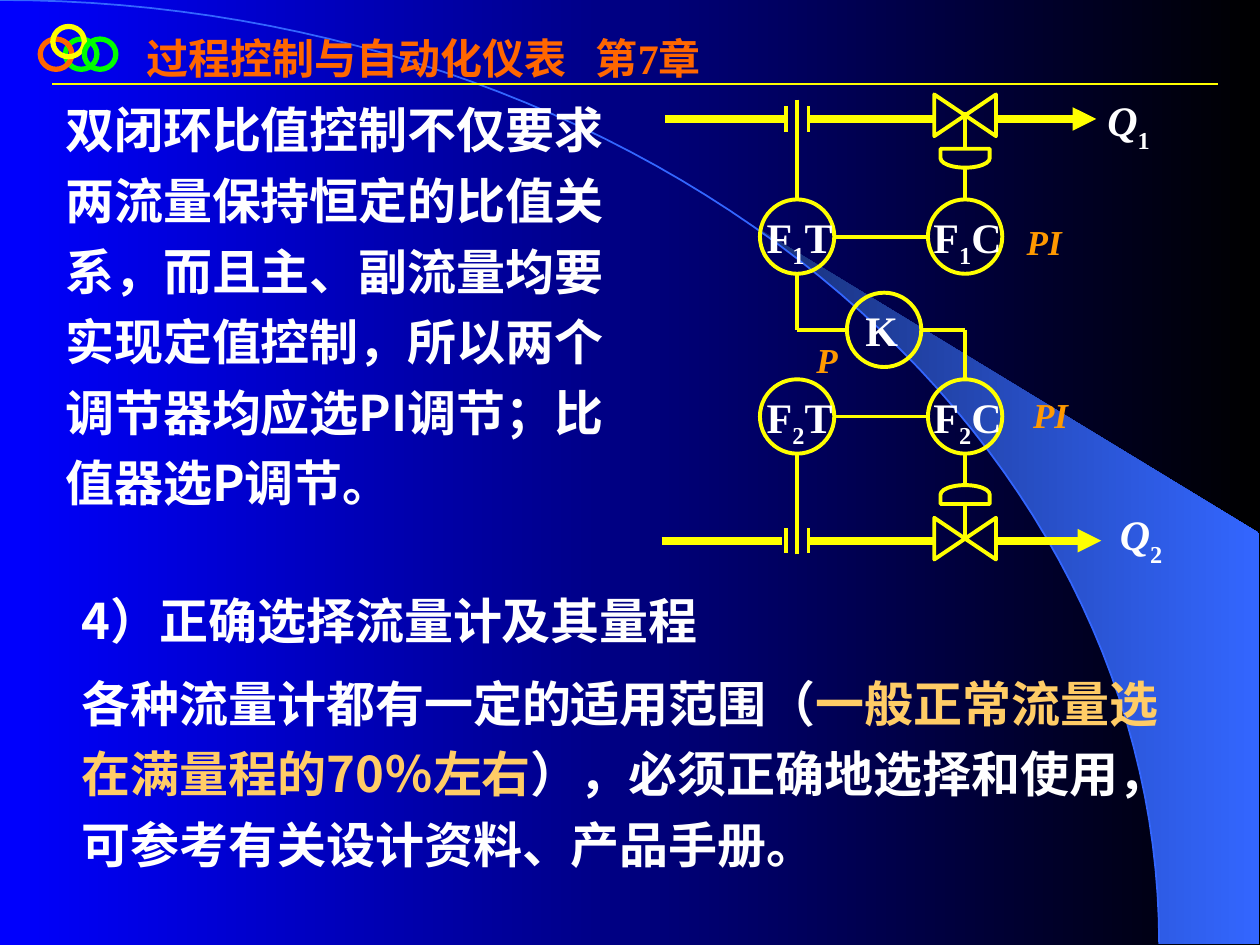
from math import asin, cos, pi, sin

from lxml.etree import SubElement
from pptx import Presentation
from pptx.dml.color import RGBColor
from pptx.enum.shapes import MSO_CONNECTOR, MSO_SHAPE
from pptx.enum.text import MSO_ANCHOR, MSO_AUTO_SIZE, PP_ALIGN
from pptx.oxml.ns import qn
from pptx.util import Pt

BLUE = RGBColor(0x00, 0x00, 0xFF)
BLACK = RGBColor(0x00, 0x00, 0x00)
NAVY = RGBColor(0x18, 0x2F, 0x76)
SKY = RGBColor(0x33, 0x66, 0xFF)
YELLOW = RGBColor(0xFF, 0xFF, 0x00)
GREEN = RGBColor(0x00, 0xFF, 0x00)
ORANGE = RGBColor(0xFF, 0x66, 0x00)
AMBER = RGBColor(0xFF, 0x99, 0x00)
SAND = RGBColor(0xFF, 0xCC, 0x66)
WHITE = RGBColor(0xFF, 0xFF, 0xFF)
SERIF, SANS = "Times New Roman", "Noto Sans CJK SC"

HEADING = {"size": Pt(24), "name": SERIF, "bold": True, "color": ORANGE}
BODY = {"size": Pt(28), "name": SANS, "bold": True, "color": WHITE}
TAG = HEADING | {"color": WHITE}
FLOW = TAG | {"italic": True}
ACTION = {"size": Pt(20), "name": SERIF, "bold": True, "italic": True, "color": AMBER}


def write(frame, paragraphs, spacing=None, **frame_format):
    """Fill a frame; each run is (text, font format, baseline in percent)."""
    for name, value in ({"word_wrap": True} | frame_format).items():
        setattr(frame, name, value)
    for index, runs in enumerate(paragraphs):
        paragraph = frame.add_paragraph() if index else frame.paragraphs[0]
        paragraph.line_spacing = spacing
        paragraph.space_before = Pt(7 if index else 0)
        paragraph.alignment = PP_ALIGN.LEFT
        for text, font_format, baseline in runs:
            run = paragraph.add_run()
            run.text = text
            for name, value in font_format.items():
                if name == "color":
                    run.font.color.rgb = value
                else:
                    setattr(run.font, name, value)
            properties = run._r.get_or_add_rPr()
            SubElement(properties, qn("a:ea"), typeface=SANS)
            if baseline:
                properties.set("baseline", str(baseline * 1000))


def draw_line(x1, y1, x2, y2, width=2.25, arrow=False):
    line = slide.shapes.add_connector(MSO_CONNECTOR.STRAIGHT, Pt(x1), Pt(y1), Pt(x2), Pt(y2))
    line.line.color.rgb = YELLOW
    line.line.width = Pt(width)
    if arrow:
        SubElement(line.line._get_or_add_ln(), qn("a:tailEnd"), type="triangle")
    SubElement(line._element.spPr, qn("a:effectLst"))


presentation = Presentation()
presentation.slide_width, presentation.slide_height = Pt(720), Pt(540)
slide = presentation.slides.add_slide(presentation.slide_layouts[5])
shapes = slide.shapes

# Background gradient
backdrop = slide.background.fill
backdrop.gradient()
backdrop.gradient_angle = 0
for stop, color in zip(backdrop.gradient_stops, (BLUE, BLACK)):
    stop.color.rgb = color

# Light beam beside a quarter ellipse
RADIUS_X, RADIUS_Y, STEPS = 662.4, 539.3, 60
beam_start = asin(424 / RADIUS_X)
arcs = []
for start in (beam_start, 0):
    angles = [start + (pi / 2 - start) * step / STEPS for step in range(STEPS + 1)]
    arcs.append([(Pt(RADIUS_X * sin(a)), Pt(RADIUS_Y * (1 - cos(a)))) for a in angles])
beam_edge, horizon_edge = arcs

builder = shapes.build_freeform(*beam_edge[0], scale=1.0)
builder.add_line_segments(beam_edge[1:] + [(Pt(719.3), Pt(539.3)), (Pt(719.3), Pt(304.6))], close=True)
beam = builder.convert_to_shape()
beam.shadow.inherit = False
beam.line.fill.background()
beam.fill.gradient()
beam.fill.gradient_angle = 0
for stop, color in zip(beam.fill.gradient_stops, (NAVY, SKY)):
    stop.color.rgb = color

builder = shapes.build_freeform(*horizon_edge[0], scale=1.0)
builder.add_line_segments(horizon_edge[1:], close=False)
horizon = builder.convert_to_shape()
horizon.shadow.inherit = False
horizon.fill.background()
horizon.line.color.rgb = SKY
horizon.line.width = Pt(1)

# Header: rule and title
draw_line(30, 48, 696, 48, 1.5)
title = shapes.title
title.left, title.top, title.width, title.height = Pt(76.3), Pt(15.1), Pt(606), Pt(36)
write(title.text_frame, [[("过程控制与自动化仪表\t第7章", HEADING, 0)]],
      vertical_anchor=MSO_ANCHOR.TOP, auto_size=MSO_AUTO_SIZE.NONE)
tabs = SubElement(title.text_frame.paragraphs[0]._p.get_or_add_pPr(), qn("a:tabLst"))
SubElement(tabs, qn("a:tab"), pos=str(Pt(257)), algn="l")
title.element.getparent().append(title.element)

# Outlined shapes: header rings, then instrument circles, valves and actuators
CIRCLE, TRANSMITTER_X, CONTROLLER_X = 42.5, 455.5, 551.5
RATIO_X, RATIO_Y = 505.2, 188.5
OVAL, VALVE, ACTUATOR = MSO_SHAPE.OVAL, MSO_SHAPE.FLOWCHART_COLLATE, MSO_SHAPE.FLOWCHART_DELAY
outlines = [(OVAL, x, y, 18, 17.3, 0, color, 3) for x, y, color in (
    (46.4, 31, GREEN), (32, 31, ORANGE), (39.2, 23.8, YELLOW), (57.2, 31, GREEN))]
outlines += [(OVAL, x, y, CIRCLE, CIRCLE, 0, YELLOW, 2.25) for x, y in (
    (TRANSMITTER_X, 135.2), (CONTROLLER_X, 135.2), (RATIO_X, RATIO_Y),
    (TRANSMITTER_X, 238), (CONTROLLER_X, 238))]
for valve_y, actuator_y, turn in ((65.9, 90.4, 90), (307.8, 282.6, 270)):
    outlines += [(VALVE, CONTROLLER_X, valve_y, 23.8, 35.3, turn, YELLOW, 2.25),
                 (ACTUATOR, CONTROLLER_X, actuator_y, 10.8, 28.1, turn, YELLOW, 2.25)]
for kind, x, y, width, height, turn, color, weight in outlines:
    outline = shapes.add_shape(kind, Pt(x - width / 2), Pt(y - height / 2), Pt(width), Pt(height))
    outline.rotation = turn
    outline.shadow.inherit = False
    outline.fill.background()
    outline.line.color.rgb = color
    outline.line.width = Pt(weight)

# Two flow loops: pipe, orifice plate, signal lines and valve stem
R = CIRCLE / 2
for pipe_y, circle_y, side, inlet, outlet, plate_end in (
        (68, 135.2, 1, 380, 626.4, 57), (309, 238, -1, 378, 629.3, 316.8)):
    draw_line(inlet, pipe_y, inlet + 69, pipe_y, 4.5)
    draw_line(463, pipe_y, 533.5, pipe_y, 4.5)
    draw_line(569, pipe_y, outlet, pipe_y, 4.5, arrow=True)
    for plate_x in (449, 462):
        draw_line(plate_x, pipe_y - 7.2, plate_x, pipe_y + 7.2)
    near_edge = circle_y - side * R
    draw_line(TRANSMITTER_X, plate_end, TRANSMITTER_X, near_edge)
    draw_line(TRANSMITTER_X + R, circle_y, CONTROLLER_X - R, circle_y)
    draw_line(CONTROLLER_X, near_edge, CONTROLLER_X, near_edge - side * 18)
    draw_line(CONTROLLER_X, near_edge - side * 28.5, CONTROLLER_X, near_edge - side * 50)

# Ratio station links
draw_line(TRANSMITTER_X, 135.2 + R, TRANSMITTER_X, RATIO_Y)
draw_line(TRANSMITTER_X, RATIO_Y, RATIO_X - R, RATIO_Y)
draw_line(RATIO_X + R, RATIO_Y, CONTROLLER_X, RATIO_Y)
draw_line(CONTROLLER_X, RATIO_Y, CONTROLLER_X, 238 - R)

# Diagram labels
labels = [(487.4, 170.6, 57, 32.4, [("K", TAG, 0)], None),
          (459.4, 185, 35.3, 36, [("P", ACTION, 0)], 1.2),
          (579.6, 117.4, 35.3, 36, [("PI", ACTION, 0)], 1.2),
          (583.2, 216.7, 35.3, 36, [("PI", ACTION, 0)], 1.2)]
for number, tag_y, flow_x, flow_y in (("1", 117.4, 625.7, 50.4), ("2", 220.3, 632.9, 287.3)):
    labels.append((flow_x, flow_y, 50, 42.5,
                   [("Q", FLOW, 0), (number, TAG, -30)], None))
    for tag_x, letter in ((431, "T"), (526.3, "C")):
        labels.append((tag_x, tag_y, 57, 32.4,
                       [("F", TAG, 0), (number, TAG, -25), (letter, TAG, 0)], None))
for x, y, width, height, runs, spacing in labels:
    label = shapes.add_textbox(Pt(x), Pt(y), Pt(width), Pt(height))
    write(label.text_frame, [runs], spacing)

# Body text
ratio_text = [[("双闭环比值控制不仅要求两流量保持恒定的比值关系，而且主、副流量均要实现定值控制，"
                "所以两个调节器均应选PI调节；比值器选P调节。", BODY, 0)]]
meter_text = [[("4）正确选择流量计及其量程", BODY, 0)],
              [("各种流量计都有一定的适用范围（", BODY, 0),
               ("一般正常流量选在满量程的70％左右", BODY | {"color": SAND}, 0),
               ("），必须正确地选择和使用，可参考有关设计资料、产品手册。", BODY, 0)]]
for x, y, width, height, paragraphs in ((30.2, 46.8, 337, 249.1, ratio_text),
                                        (39.6, 326.9, 653.8, 175.7, meter_text)):
    passage = shapes.add_textbox(Pt(x), Pt(y), Pt(width), Pt(height))
    write(passage.text_frame, paragraphs, 1.2, vertical_anchor=MSO_ANCHOR.MIDDLE,
          auto_size=MSO_AUTO_SIZE.SHAPE_TO_FIT_TEXT)

presentation.save("out.pptx")
